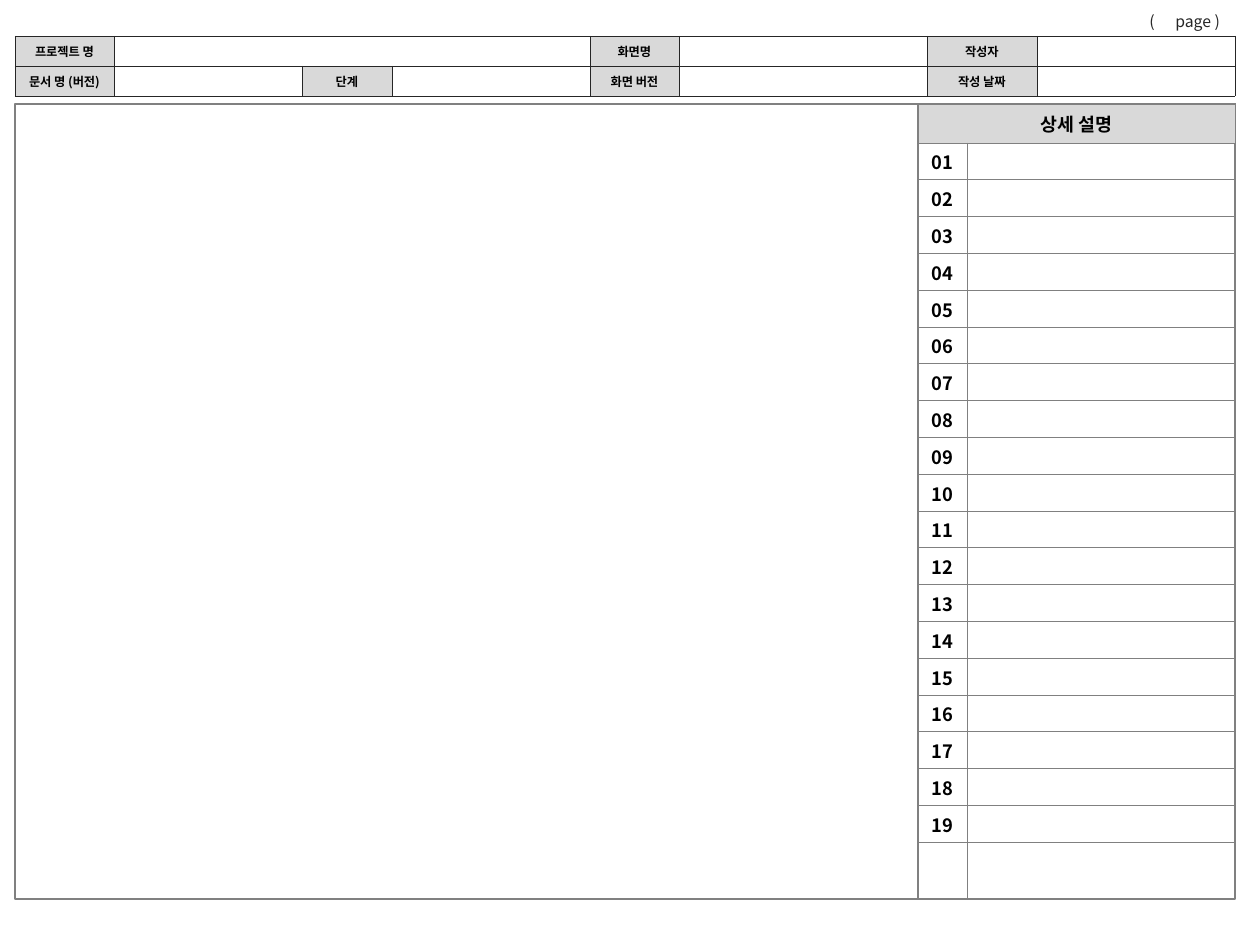
"""Build a blank screen-design sheet with a header table and a numbered description table."""
from itertools import pairwise

from lxml import etree
from pptx import Presentation
from pptx import util as u
from pptx.dml.color import RGBColor
from pptx.enum import shapes, text
from pptx.oxml.ns import qn

PAGE_TEXT = "(\tpage )"
HEADER = [
    ["프로젝트 명", "", "", "", "화면명", "", "작성자", ""],
    ["문서 명 (버전)", "", "단계", "", "화면 버전", "", "작성 날짜", ""],
]
DETAIL_TITLE = "상세 설명"
DETAIL_COUNT = 19
DETAIL = [[DETAIL_TITLE, ""]] + [[f"{n:02}", ""] for n in range(1, DETAIL_COUNT + 1)] + [["", ""]]

FONT = "Noto Sans CJK KR"
BLACK = RGBColor(0x00, 0x00, 0x00)
INK = RGBColor(0x26, 0x26, 0x26)
GRAY = RGBColor(0x80, 0x80, 0x80)
LABEL_FILL = RGBColor(0xD9, 0xD9, 0xD9)

PX = 914400 // 126
LEFT, RIGHT = 15, 1235
BODY_TOP, BODY_BOTTOM = 104, 899
HEADER_TOP, HEADER_ROW = 36, 30
HEADER_EDGES = [LEFT, 114, 302, 392, 590, 679, 927, 1037, RIGHT]
DETAIL_EDGES = [918, 967, RIGHT]
TITLE_ROW, LAST_ROW = 39, 56
DETAIL_ROW = (BODY_BOTTOM - BODY_TOP - TITLE_ROW - LAST_ROW) / DETAIL_COUNT


def px(n):
    return u.Emu(round(n * PX))


def write(p, words, size, color, bold=False):
    if words:
        r = p.add_run()
        r.text = words
        r.font.size, r.font.bold, r.font.name = u.Pt(size), bold, FONT
        r.font.color.rgb = color
        etree.SubElement(r.font._element, qn("a:ea"), typeface=FONT)
    else:
        etree.SubElement(p._p, qn("a:endParaRPr"), sz=str(round(size * 100)))


def border(cell, color, widths):
    tcPr = cell._tc.get_or_add_tcPr()
    for side, width in zip("LRTB", widths):
        ln = etree.SubElement(tcPr, qn(f"a:ln{side}"), w=str(u.Pt(width)))
        fill = etree.SubElement(ln, qn("a:solidFill"))
        etree.SubElement(fill, qn("a:srgbClr"), val=str(color))


def add_grid(s, rows, edges, top, heights, size, inset, color, inner, outer, is_label):
    gf = s.shapes.add_table(len(rows), len(rows[0]), px(edges[0]), px(top),
                            px(edges[-1] - edges[0]), px(sum(heights)))
    table = gf.table
    table.first_row = table.horz_banding = False
    for column, (a, b) in zip(table.columns, pairwise(edges)):
        column.width = px(b - a)
    for row, height in zip(table.rows, heights):
        row.height = px(height)
    for i, row in enumerate(rows):
        for j, words in enumerate(row):
            cell = table.cell(i, j)
            cell.margin_left = cell.margin_right = cell.margin_bottom = px(inset)
            cell.margin_top = px(inset + 1)
            cell.vertical_anchor = text.MSO_ANCHOR.MIDDLE
            ends = (j == 0, j == len(row) - 1, i == 0, i == len(rows) - 1)
            border(cell, color, [outer if end else inner for end in ends])
            if is_label(i, words):
                cell.fill.solid()
                cell.fill.fore_color.rgb = LABEL_FILL
            else:
                cell.fill.background()
            p = cell.text_frame.paragraphs[0]
            p.alignment = text.PP_ALIGN.CENTER
            write(p, words, size, BLACK, True)
    return table


def add_page_mark(s):
    sp = s.shapes.add_textbox(px(1137), px(6), px(110), px(32))
    tf = sp.text_frame
    tf.word_wrap = True
    p = tf.paragraphs[0]
    tabs = etree.SubElement(p._p.get_or_add_pPr(), qn("a:tabLst"))
    etree.SubElement(tabs, qn("a:tab"), pos=str(px(26)), algn="l")
    write(p, PAGE_TEXT, 9, INK)


def add_frame(s):
    sp = s.shapes.add_shape(shapes.MSO_SHAPE.RECTANGLE, px(LEFT), px(BODY_TOP),
                            px(RIGHT - LEFT), px(BODY_BOTTOM - BODY_TOP))
    sp.shadow.inherit = False
    sp.fill.background()
    sp.line.color.rgb = GRAY
    sp.line.width = u.Pt(1)


def main():
    prs = Presentation()
    prs.slide_width, prs.slide_height = u.Inches(10), u.Inches(7.5)
    s = prs.slides.add_slide(prs.slide_layouts[6])

    add_page_mark(s)
    header = add_grid(s, HEADER, HEADER_EDGES, HEADER_TOP, [HEADER_ROW] * len(HEADER),
                      7, 0, INK, 0.25, 0.25, lambda i, words: bool(words))
    header.cell(0, 1).merge(header.cell(0, 3))
    add_frame(s)
    heights = [TITLE_ROW] + [DETAIL_ROW] * DETAIL_COUNT + [LAST_ROW]
    detail = add_grid(s, DETAIL, DETAIL_EDGES, BODY_TOP, heights,
                      10.5, 4, GRAY, 0.5, 1, lambda i, words: i == 0)
    detail.cell(0, 0).merge(detail.cell(0, 1))

    prs.save("out.pptx")


if __name__ == "__main__":
    main()
